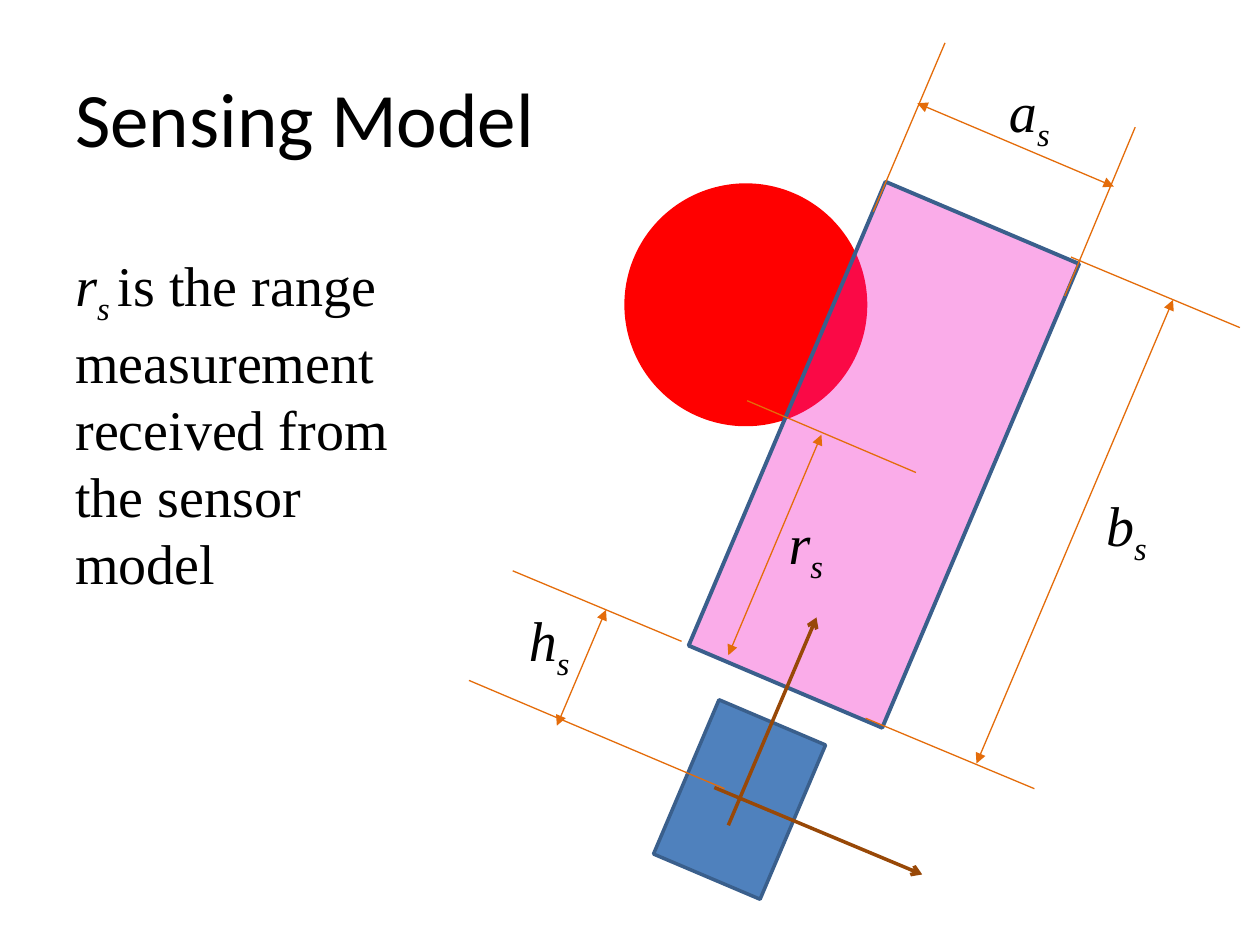
from lxml.etree import SubElement
from pptx import Presentation
from pptx.dml.color import RGBColor
from pptx.enum.shapes import MSO_CONNECTOR as CONN, MSO_SHAPE as SHAPE
from pptx.enum.text import MSO_ANCHOR as ANCHOR, MSO_AUTO_SIZE as AUTO
from pptx.oxml.ns import qn
from pptx.util import Pt

BLACK = RGBColor(0x00, 0x00, 0x00)
RED = RGBColor(0xFF, 0x00, 0x00)
PINK = RGBColor(0xF2, 0x1A, 0xC4)
BLUE = RGBColor(0x4F, 0x81, 0xBD)
NAVY = RGBColor(0x3A, 0x5F, 0x8C)
ORANGE = RGBColor(0xE4, 0x6C, 0x0A)
BROWN = RGBColor(0x98, 0x48, 0x07)
SERIF = "Times New Roman"
TILT = 23


def add_run(p, text, font=SERIF, size=32, italic=False, sub=False):
    r = p.add_run()
    r.text = text
    f = r.font
    f.name, f.size, f.italic = font, Pt(size), italic
    f.color.rgb = BLACK
    if sub:
        f._element.set("baseline", "-25000")


def add_box(shapes, x, y, w, h, wrap=False):
    tf = shapes.add_textbox(Pt(x), Pt(y), Pt(w), Pt(h)).text_frame
    tf.word_wrap = wrap
    tf.auto_size = AUTO.NONE if wrap else AUTO.SHAPE_TO_FIT_TEXT
    return tf


def add_symbol(p, letter, index="s"):
    add_run(p, letter, italic=True)
    add_run(p, index, italic=True, sub=True)


def add_tilted(shapes, kind, x, y, w, h, fill, line, width=2, alpha=None):
    sp = shapes.add_shape(kind, Pt(x), Pt(y), Pt(w), Pt(h))
    sp.shadow.inherit = False
    sp.rotation = TILT
    sp.fill.solid()
    sp.fill.fore_color.rgb = fill
    sp.line.color.rgb = line
    sp.line.width = Pt(width)
    if alpha is not None:
        clr = sp._element.spPr.find(qn("a:solidFill"))[0]
        SubElement(clr, qn("a:alpha")).set("val", str(alpha * 1000))


def add_line(shapes, x1, y1, x2, y2, color=ORANGE, width=0.75, head=None, tail=None):
    c = shapes.add_connector(CONN.STRAIGHT, Pt(x1), Pt(y1), Pt(x2), Pt(y2))
    c.line.color.rgb = color
    c.line.width = Pt(width)
    ln = c.line._get_or_add_ln()
    for tag, kind in (("a:headEnd", head), ("a:tailEnd", tail)):
        if kind:
            SubElement(ln, qn(tag)).set("type", kind)
    SubElement(c._element.spPr, qn("a:effectLst"))


def draw_title(s, x, y, w, h):
    tf = add_box(s.shapes, x, y, w, h, wrap=True)
    tf.vertical_anchor = ANCHOR.MIDDLE
    add_run(tf.paragraphs[0], "Sensing Model", font="Calibri", size=44)


def draw_note(s, x, y, w, h):
    tf = add_box(s.shapes, x, y, w, h)
    p = tf.paragraphs[0]
    add_symbol(p, "r", "s ")
    add_run(p, "is the range ")
    for text in ("measurement ", "received from ", "the sensor ", "model"):
        add_run(tf.add_paragraph(), text)


def draw_diagram(s, x, y):
    shapes = s.shapes.add_group_shape().shapes

    def line(x1, y1, x2, y2, **fmt):
        add_line(shapes, x + x1, y + y1, x + x2, y + y2, **fmt)

    # Obstacle, sensing area and robot body
    add_tilted(shapes, SHAPE.OVAL, x + 89.8, y + 81.8, 136.8, 136.8, RED, RED)
    add_tilted(shapes, SHAPE.RECTANGLE, x + 177, y + 91.9, 120.2, 288,
               PINK, NAVY, width=2.25, alpha=36)
    add_tilted(shapes, SHAPE.RECTANGLE, x + 121.5, y + 385, 66.2, 95.8, BLUE, NAVY)

    # Robot axes
    for axis in ((148.2, 447.6, 198.6, 328.8), (140.2, 426, 259, 475.7)):
        line(*axis, color=BROWN, width=2, tail="arrow")

    # Dimensions: letter, label place and width, arrow, extension lines
    dimensions = [
        ("h", (27.2, 318.7, 38.9), (50.2, 390.7, 78.3, 324.5),
         [(121.5, 342.5, 25, 302.2), (146, 426.7, 0, 364.8)]),
        ("a", (301.5, 16.3, 38.9), (368.5, 82.6, 256.2, 35),
         [(272, 0.5, 231, 97), (380.7, 48.7, 340.4, 145.2)]),
        ("b", (357, 252.5, 38.9), (290, 412.3, 402.3, 147.4),
         [(440.5, 163.2, 344, 122.9), (323.1, 426.7, 226.6, 386.4)]),
        ("r", (175.5, 263.3, 35.3), (148.2, 350.4, 201.4, 224.4),
         [(255.4, 246, 159, 205)]),
    ]
    for letter, (lx, ly, lw), arrow, extensions in dimensions:
        for ext in extensions:
            line(*ext)
        line(*arrow, head="triangle", tail="triangle")
        tf = add_box(shapes, x + lx, y + ly, lw, 46)
        add_symbol(tf.paragraphs[0], letter)


prs = Presentation()
prs.slide_width, prs.slide_height = Pt(720), Pt(540)
s = prs.slides.add_slide(prs.slide_layouts[6])
draw_title(s, 36, 21.6, 648, 90)
draw_diagram(s, 268, 24)
draw_note(s, 36, 139.7, 203, 200.9)
prs.save("out.pptx")
